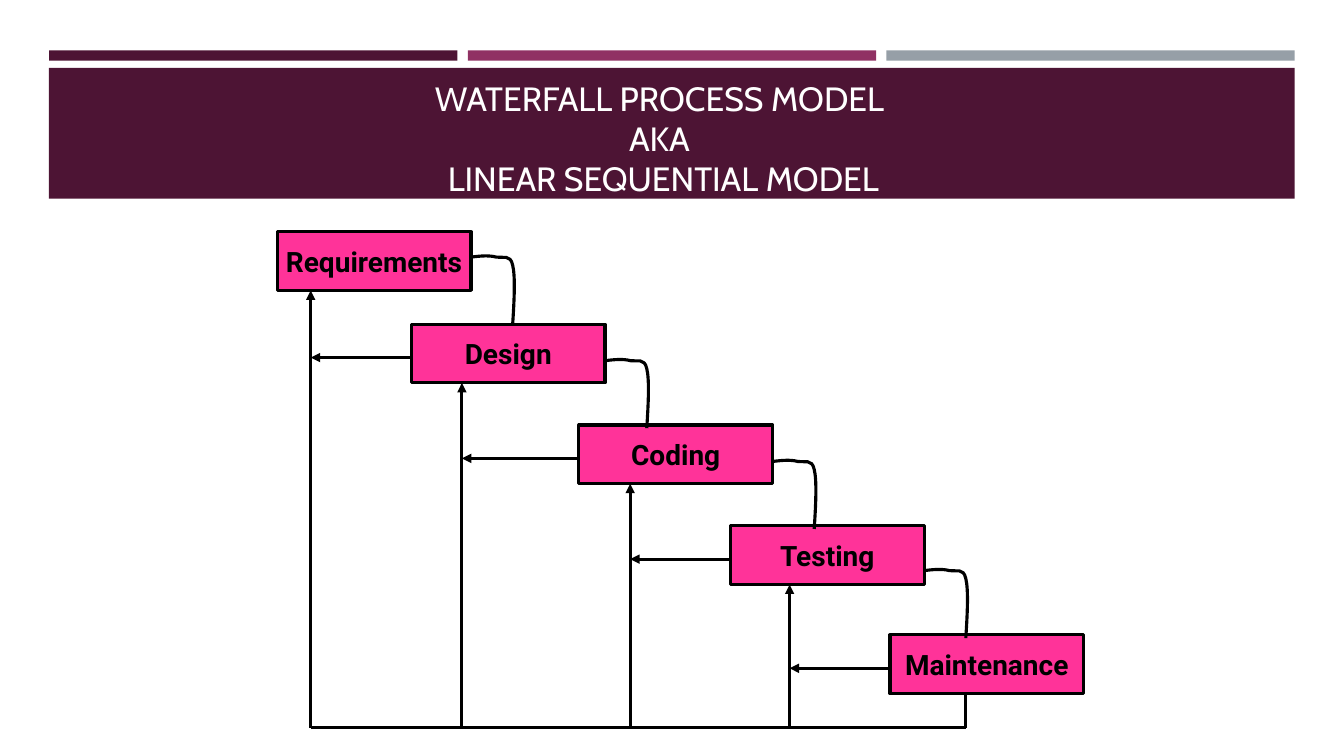
import lxml.etree
import pptx
import pptx.dml.color
import pptx.enum.shapes
import pptx.enum.text
import pptx.oxml.ns
import pptx.util

Cm = pptx.util.Cm
Pt = pptx.util.Pt
RGBColor = pptx.dml.color.RGBColor
PP_ALIGN = pptx.enum.text.PP_ALIGN
MSO_ANCHOR = pptx.enum.text.MSO_ANCHOR
RECTANGLE = pptx.enum.shapes.MSO_SHAPE.RECTANGLE
STRAIGHT = pptx.enum.shapes.MSO_CONNECTOR.STRAIGHT
qn = pptx.oxml.ns.qn

PLUM = RGBColor(0x4D, 0x14, 0x34)
MAUVE = RGBColor(0x90, 0x31, 0x63)
GREY = RGBColor(0x96, 0x9F, 0xA7)
PINK = RGBColor(0xFF, 0x33, 0x99)
BLACK = RGBColor(0, 0, 0)
WHITE = RGBColor(0xFF, 0xFF, 0xFF)

STAGE_W, STAGE_H = 4.88, 1.48
STAGES = [
    ("Requirements", 6.99, 5.84),
    ("Design", 10.37, 8.17),
    ("Coding", 14.59, 10.71),
    ("Testing", 18.41, 13.25),
    ("Maintenance", 22.43, 16.0),
]
RETURN_XS = [7.83, 11.64, 15.88, 19.9]
HOOK_YS = [6.48, 9.09, 11.63, 14.38]
HOOK_POINTS = [
    (0.23, -0.03), (0.46, -0.05), (0.64, 0),
    (0.81, 0.03), (0.99, -0.08), (1.05, 0.2),
    (1.12, 0.48), (1.09, 1.09), (1.05, 1.7),
]
BASE_Y = 18.34
EXIT_X = 24.34
FEEDBACK_DROP = 0.84


def add_box(s, x, y, w, h, fill):
    sp = s.shapes.add_shape(RECTANGLE, Cm(x), Cm(y), Cm(w), Cm(h))
    sp.shadow.inherit = False
    sp.fill.solid()
    sp.fill.fore_color.rgb = fill
    sp.line.fill.background()
    return sp


def set_outline(sp):
    sp.line.color.rgb = BLACK
    sp.line.width = Pt(2.25)


def style_paragraph(p, font, size, color, bold=False):
    p.alignment = PP_ALIGN.CENTER
    p.font.name = font
    p.font.size = Pt(size)
    p.font.color.rgb = color
    p.font.bold = bold


def add_title(s, text):
    tf = s.shapes.add_textbox(Cm(1.4), Cm(1.98), Cm(30.63), Cm(3.15)).text_frame
    tf.word_wrap = True
    tf.vertical_anchor = MSO_ANCHOR.BOTTOM
    p = tf.paragraphs[0]
    p.text = text
    style_paragraph(p, "Cabin", 24, WHITE)


def add_stage(s, name, x, y):
    sp = add_box(s, x, y, STAGE_W, STAGE_H, PINK)
    set_outline(sp)
    tf = sp.text_frame
    tf.word_wrap = False
    tf.vertical_anchor = MSO_ANCHOR.MIDDLE
    p = tf.paragraphs[0]
    p.text = name
    style_paragraph(p, "Roboto", 20, BLACK, True)


def curve_segments(sp):
    segments = list(sp._element.iter(qn("a:lnTo")))
    for i in range(0, len(segments), 3):
        curve = lxml.etree.Element(qn("a:cubicBezTo"))
        segments[i].addprevious(curve)
        for segment in segments[i:i + 3]:
            curve.append(segment[0])
            segment.getparent().remove(segment)


def add_hook(s, x, y):
    builder = s.shapes.build_freeform(Cm(x), Cm(y))
    points = [(Cm(x + dx), Cm(y + dy)) for dx, dy in HOOK_POINTS]
    builder.add_line_segments(points, close=False)
    sp = builder.convert_to_shape()
    curve_segments(sp)
    sp.shadow.inherit = False
    sp.fill.background()
    set_outline(sp)


def add_line(s, x1, y1, x2, y2, arrow=False):
    sp = s.shapes.add_connector(STRAIGHT, Cm(x1), Cm(y1), Cm(x2), Cm(y2))
    set_outline(sp)
    spPr = sp._element.spPr
    if arrow:
        ln = spPr.find(qn("a:ln"))
        lxml.etree.SubElement(ln, qn("a:tailEnd"), type="triangle")
    lxml.etree.SubElement(spPr, qn("a:effectLst"))


def main():
    prs = pptx.Presentation()
    prs.slide_width, prs.slide_height = Cm(33.87), Cm(19.05)
    s = prs.slides.add_slide(prs.slide_layouts[6])

    for i, color in enumerate((PLUM, MAUVE, GREY)):
        add_box(s, 1.24 + i * 10.55, 1.27, 10.29, 0.26, color)
    add_box(s, 1.23, 1.71, 31.4, 3.3, PLUM)
    add_title(s, "WATERFALL PROCESS MODEL \vAKA \vLINEAR SEQUENTIAL MODEL")

    for name, x, y in STAGES:
        add_stage(s, name, x, y)
    for (_, x, _), y in zip(STAGES, HOOK_YS):
        add_hook(s, x + STAGE_W, y)

    add_line(s, EXIT_X, STAGES[-1][2] + STAGE_H, EXIT_X, BASE_Y)
    add_line(s, EXIT_X, BASE_Y, RETURN_XS[0], BASE_Y)
    for return_x, stage, following in zip(RETURN_XS, STAGES, STAGES[1:]):
        add_line(s, return_x, BASE_Y, return_x, stage[2] + STAGE_H, True)
        feedback_y = following[2] + FEEDBACK_DROP
        add_line(s, following[1], feedback_y, return_x, feedback_y, True)

    prs.save("out.pptx")


if __name__ == "__main__":
    main()
